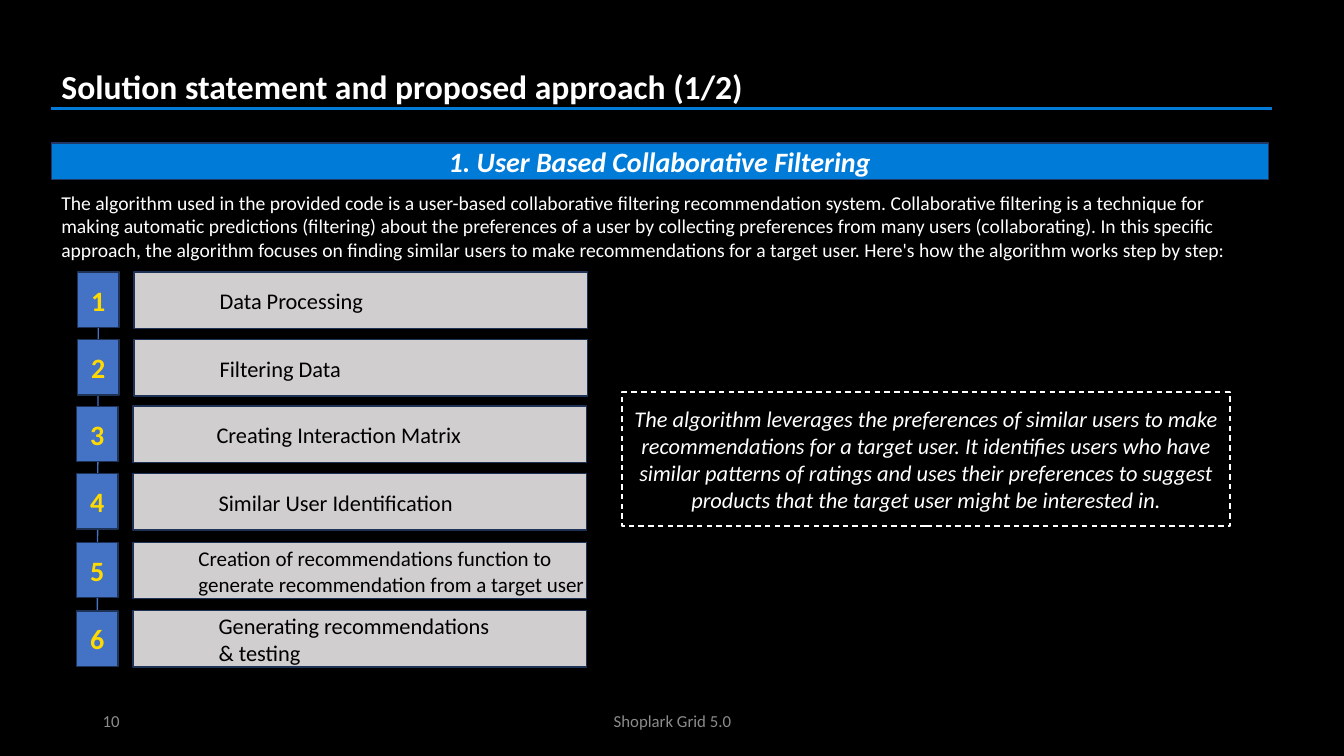
import pptx
import pptx.util
import pptx.dml.color
import pptx.enum.dml
import pptx.enum.shapes
import pptx.enum.text
import pptx.oxml.ns
from lxml import etree

PX = 9144  # 100 px to the inch
HUES = {"black": "000000", "white": "FFFFFF", "blue": "007CD8", "navy": "203864",
        "tile": "4472C4", "edge": "1E3256", "gold": "FFDA00", "bar": "D0CECE",
        "gray": "8C8C8C"}
RGB = {name: pptx.dml.color.RGBColor.from_string(code) for name, code in HUES.items()}
ALIGN = pptx.enum.text.PP_ALIGN
ANCHOR = pptx.enum.text.MSO_ANCHOR
RECT = pptx.enum.shapes.MSO_SHAPE.RECTANGLE

deck = pptx.Presentation()
deck.slide_width, deck.slide_height = 1333 * PX, 750 * PX
slide = deck.slides.add_slide(deck.slide_layouts[5])
slide.background.fill.solid()
slide.background.fill.fore_color.rgb = RGB["black"]
shapes = slide.shapes


def write(shape, text, size, hue, align=ALIGN.LEFT, anchor=ANCHOR.MIDDLE, **style):
    frame = shape.text_frame
    look = {"word_wrap": True, "vertical_anchor": anchor,
            "auto_size": pptx.enum.text.MSO_AUTO_SIZE.NONE}
    for key, value in look.items():
        setattr(frame, key, value)
    para = frame.paragraphs[0]
    para.text, para.alignment = text, align
    style.update(name="Calibri", size=pptx.util.Pt(size))
    for key, value in style.items():
        setattr(para.font, key, value)
    para.font.color.rgb = RGB[hue]


def block(box, fill, edge):
    """Add a rectangle with a thin edge; a fill of None leaves it clear."""
    shape = shapes.add_shape(RECT, *(n * PX for n in box))
    shape.shadow.inherit = False
    if fill:
        shape.fill.solid()
        shape.fill.fore_color.rgb = RGB[fill]
    else:
        shape.fill.background()
    shape.line.color.rgb = RGB[edge]
    shape.line.width = pptx.util.Pt(1)
    return shape


title = shapes.title
place = {"left": 51, "top": 60, "width": 1223, "height": 50}
for key, value in place.items():
    setattr(title, key, value * PX)
write(title, "Solution statement and proposed approach (1/2)", 24, "white",
      anchor=ANCHOR.TOP, bold=True)

intro = (
    "The algorithm used in the provided code is a user-based collaborative filtering "
    "recommendation system. Collaborative filtering is a technique for making automatic "
    "predictions (filtering) about the preferences of a user by collecting preferences "
    "from many users (collaborating). In this specific approach, the algorithm focuses on "
    "finding similar users to make recommendations for a target user. Here's how the "
    "algorithm works step by step:")
notes = [
    ((442, 695, 450, 40), "Shoplark Grid 5.0", 12, "gray", ALIGN.CENTER),
    ((92, 695, 300, 40), "10", 12, "gray", ALIGN.LEFT),
    ((51, 178, 1207, 92), intro, 14, "white", ALIGN.LEFT),
]
for box, text, size, hue, align in notes:
    write(shapes.add_textbox(*(n * PX for n in box)), text, size, hue, align)

# Title rule and the spine behind the step tiles
lines = []
for ends, hue, width in [((51, 108, 1262, 108), "blue", 2.25),
                         ((97, 325, 96, 606), "tile", 1)]:
    line = shapes.add_connector(pptx.enum.shapes.MSO_CONNECTOR.STRAIGHT,
                                *(n * PX for n in ends))
    line.line.color.rgb = RGB[hue]
    line.line.width = pptx.util.Pt(width)
    etree.SubElement(line._element.spPr, pptx.oxml.ns.qn("a:effectLst"))
    lines.append(line)
rule, spine = lines

banner = block((51, 142, 1207, 36), "blue", "navy")
write(banner, "1. User Based Collaborative Filtering", 20, "white", ALIGN.CENTER,
      bold=True, italic=True)

# Each step: left, top, text, then text left, width, height and size
steps = [
    (77, 270, "Data Processing", 208, 300, 37, 16),
    (77, 337, "Filtering Data", 208, 300, 37, 16),
    (76, 403, "Creating Interaction Matrix", 205, 300, 37, 16),
    (76, 470, "Similar User Identification", 207, 300, 37, 16),
    (76, 538, "Creation of recommendations function to generate recommendation "
              "from a target user", 187, 433, 61, 15),
    (76, 606, "Generating recommendations & testing", 207, 300, 64, 16),
]
tiles = []
for count, (left, top, text, start, width, high, size) in enumerate(steps, 1):
    tile = block((left, top, 41, 55), "tile", "edge")
    write(tile, str(count), 20, "gold", ALIGN.CENTER, bold=True)
    tiles.append(tile)
    block((left + 56, top, 450, 56), "bar", "edge")
    label = shapes.add_textbox(start * PX, (top + 28 - high // 2) * PX,
                               width * PX, high * PX)
    write(label, text, size, "black")
spine.begin_connect(tiles[0], 2)
spine.end_connect(tiles[-1], 0)

gist = block((617, 389, 603, 133), None, "white")
gist.line.dash_style = pptx.enum.dml.MSO_LINE.DASH
write(gist, "The algorithm leverages the preferences of similar users to make "
      "recommendations for a target user. It identifies users who have similar patterns "
      "of ratings and uses their preferences to suggest products that the target user "
      "might be interested in.", 16, "white", ALIGN.CENTER, italic=True)

deck.save("out.pptx")
